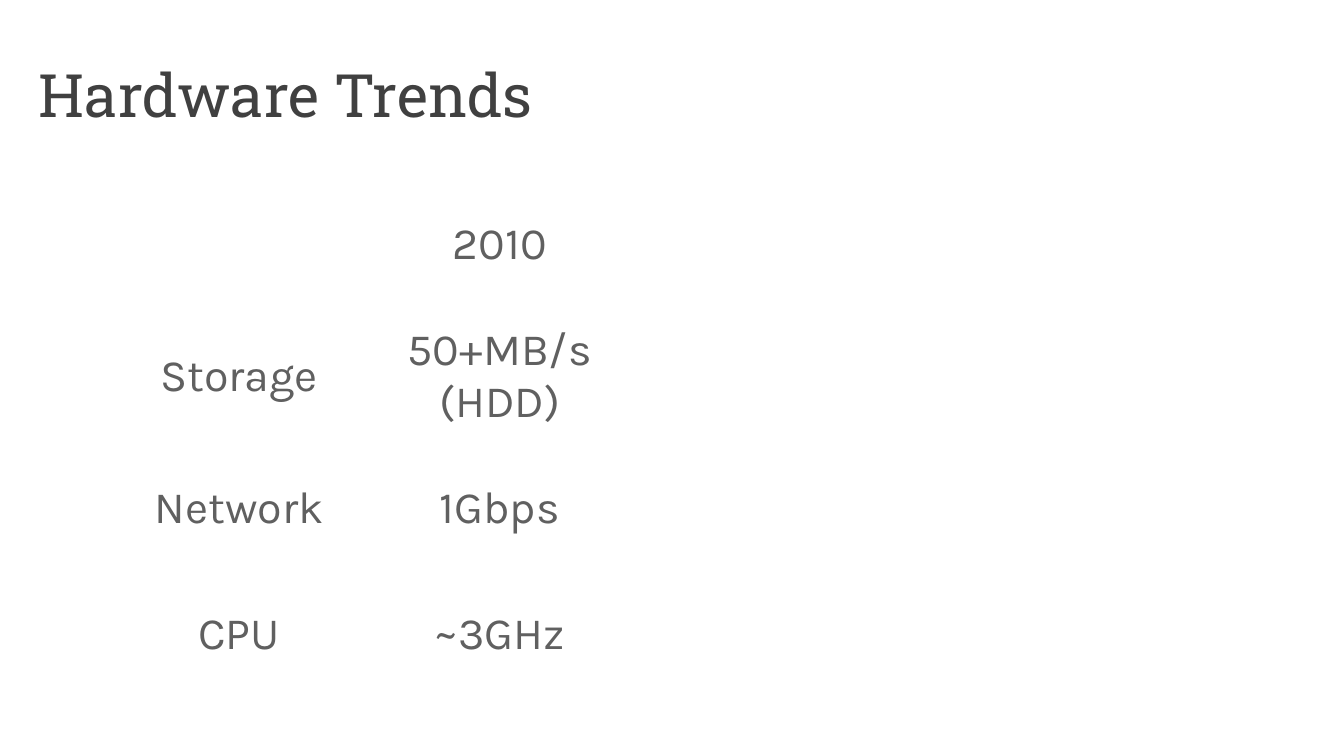
from pptx import Presentation
from pptx.dml.color import RGBColor
from pptx.enum.text import MSO_ANCHOR, PP_ALIGN
from pptx.util import Inches, Pt

DARK_GREY = RGBColor(0x40, 0x40, 0x40)
MID_GREY = RGBColor(0x60, 0x60, 0x60)
SLIDE_WIDTH = Inches(10)
SLIDE_HEIGHT = SLIDE_WIDTH * 9 // 16
TITLE_ONLY_LAYOUT = 5

HARDWARE = [
    ["", "2010"],
    ["Storage", "50+MB/s\n(HDD)"],
    ["Network", "1Gbps"],
    ["CPU", "~3GHz"],
]


def across(percent):
    return round(SLIDE_WIDTH * percent / 100)


def down(percent):
    return round(SLIDE_HEIGHT * percent / 100)


def write_text(text_frame, text, font_name, size, color, alignment):
    text_frame.text = text
    for paragraph in text_frame.paragraphs:
        paragraph.alignment = alignment
        for run in paragraph.runs:
            run.font.name = font_name
            run.font.size = Pt(size)
            run.font.color.rgb = color
            run.font.bold = False


class TrendSlide:
    title_style = dict(font_name="Roboto Slab", size=32, color=DARK_GREY,
                       alignment=PP_ALIGN.LEFT)
    cell_style = dict(font_name="Karla", size=24, color=MID_GREY,
                      alignment=PP_ALIGN.CENTER)

    def __init__(self, presentation):
        layout = presentation.slide_layouts[TITLE_ONLY_LAYOUT]
        self.slide = presentation.slides.add_slide(layout)

    def add_title(self, text, left, top, width, height):
        title = self.slide.shapes.title
        title.left, title.top = across(left), down(top)
        title.width, title.height = across(width), down(height)
        title.text_frame.vertical_anchor = MSO_ANCHOR.MIDDLE
        write_text(title.text_frame, text, **self.title_style)

    def add_table(self, rows, left, top, column_widths, row_heights):
        shape = self.slide.shapes.add_table(
            len(rows), len(column_widths), across(left), down(top),
            across(sum(column_widths)), down(sum(row_heights)))
        table = shape.table
        table.first_row = False
        table.horz_banding = False
        for column, width in zip(table.columns, column_widths):
            column.width = across(width)
        for row, height, texts in zip(table.rows, row_heights, rows):
            row.height = down(height)
            for cell, text in zip(row.cells, texts):
                cell.fill.background()
                cell.vertical_anchor = MSO_ANCHOR.MIDDLE
                write_text(cell.text_frame, text, **self.cell_style)


def main():
    presentation = Presentation()
    presentation.slide_width = SLIDE_WIDTH
    presentation.slide_height = SLIDE_HEIGHT
    trends = TrendSlide(presentation)
    trends.add_title("Hardware Trends", left=1.9, top=4.1, width=96.8, height=16.7)
    trends.add_table(HARDWARE, left=9.74, top=24.05, column_widths=[16.1, 22.7],
                     row_heights=[16.7, 18.2, 16.7, 16.7])
    presentation.save("out.pptx")


if __name__ == "__main__":
    main()
